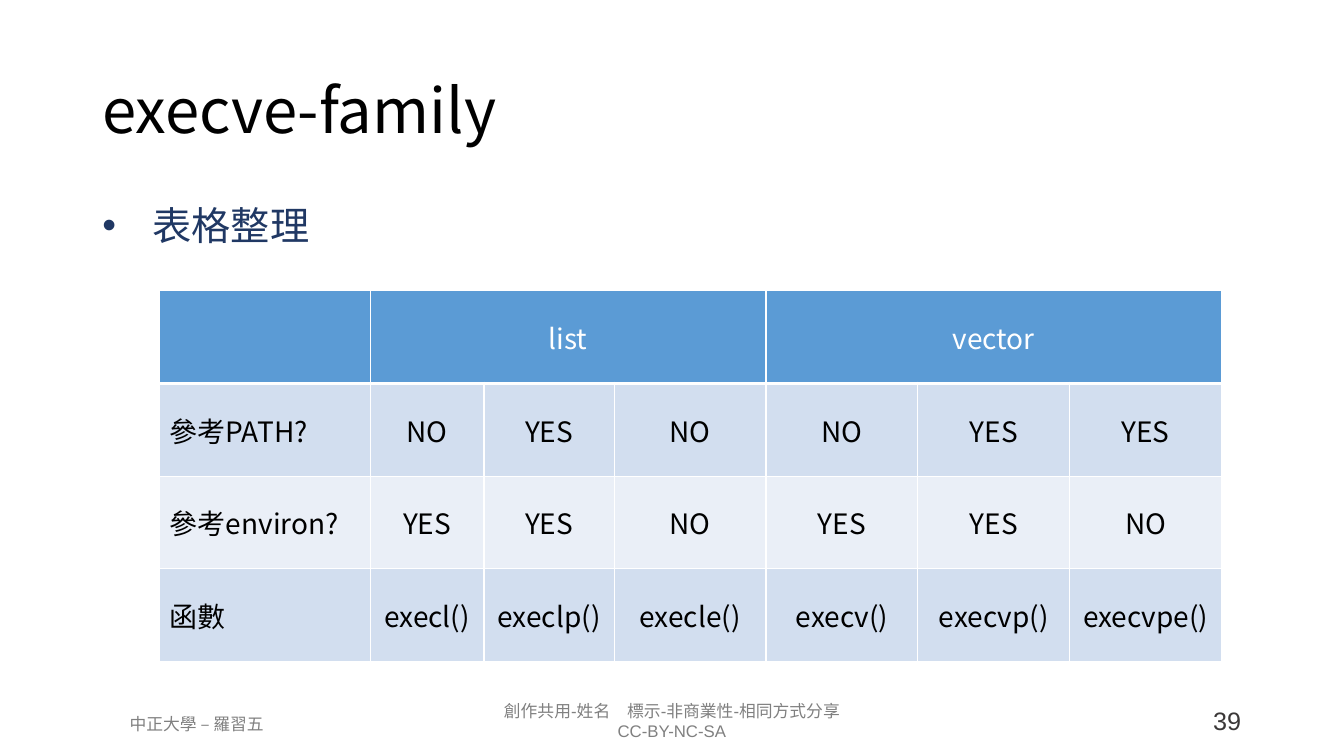
"""Build the execve-family slide with its comparison table."""
from lxml import etree
from pptx import Presentation
from pptx.dml.color import RGBColor
from pptx.enum.text import MSO_ANCHOR, PP_ALIGN
from pptx.oxml.ns import qn
from pptx.util import Pt

LEFT, MID, RIGHT = PP_ALIGN.LEFT, PP_ALIGN.CENTER, PP_ALIGN.RIGHT
TOP, CENTER = MSO_ANCHOR.TOP, MSO_ANCHOR.MIDDLE
SANS, ARIAL = "Noto Sans CJK SC", "Arial"
HEX = {"black": "000000", "white": "FFFFFF", "navy": "203864", "gray": "808080",
       "dark": "3B3838", "head": "5B9BD5", "odd": "D2DEEF", "even": "EAEFF7"}


def write(frame, text, size=20, font=SANS, color="black", align=LEFT,
          anchor=CENTER, space=1.0, bullet=False):
    """Fill a text frame, one paragraph per line."""
    frame.word_wrap = True
    frame.vertical_anchor = anchor
    for i, line in enumerate(text.split("\n")):
        para = frame.paragraphs[0] if i == 0 else frame.add_paragraph()
        if bullet:
            props = para._p.get_or_add_pPr()
            props.set("marL", str(Pt(36)))
            props.set("indent", str(-Pt(36)))
            etree.SubElement(props, qn("a:buFont"), typeface=ARIAL)
            etree.SubElement(props, qn("a:buChar"), char="•")
        para.alignment = align
        para.line_spacing = space
        run = para.add_run()
        run.text = line
        run.font.size = Pt(size)
        run.font.name = font
        run.font.bold = False
        run.font.color.rgb = RGBColor.from_string(HEX[color])
        etree.SubElement(run._r.get_or_add_rPr(), qn("a:ea"), typeface=SANS)


def edge(cell, sides):
    """Draw white borders, given a width for each side."""
    props = cell._tc.get_or_add_tcPr()
    for i, (side, width) in enumerate(sides.items()):
        line = etree.Element(qn("a:ln" + side), w=str(Pt(width)))
        fill = etree.SubElement(line, qn("a:solidFill"))
        etree.SubElement(fill, qn("a:srgbClr"), val=HEX["white"])
        props.insert(i, line)


deck = Presentation()
deck.slide_width, deck.slide_height = Pt(960), Pt(540)
slide = deck.slides.add_slide(deck.slide_layouts[6])

texts = [
    ("創作共用-姓名　標示-非商業性-相同方式分享\nCC-BY-NC-SA", (303, 497, 354, 36),
     dict(size=12, font=ARIAL, color="gray", align=MID, anchor=TOP)),
    ("中正大學 – 羅習五", (50, 506, 181, 22),
     dict(size=12, font=ARIAL, color="gray", align=MID, anchor=TOP)),
    ("39", (717, 500.5, 176.5, 29),
     dict(size=18, font=ARIAL, color="dark", align=RIGHT, anchor=TOP)),
    ("execve-family", (66, 28.8, 828, 104.4), dict(size=44, space=0.9)),
    ("表格整理", (66, 144, 828, 342.6),
     dict(size=28, color="navy", anchor=TOP, space=0.9, bullet=True)),
]
for text, area, style in texts:
    box = slide.shapes.add_textbox(*map(Pt, area))
    write(box.text_frame, text, **style)

rows = [
    ["", "list", "", "", "vector", "", ""],
    ["參考PATH?", "NO", "YES", "NO", "NO", "YES", "YES"],
    ["參考environ?", "YES", "YES", "NO", "YES", "YES", "NO"],
    ["函數", "execl()", "execlp()", "execle()", "execv()", "execvp()", "execvpe()"],
]
wide = [150.4, 81.4, 92.9] + [108.5] * 4
high = 66.2
table = slide.shapes.add_table(len(rows), len(wide), Pt(114), Pt(207.7),
                               Pt(sum(wide)), Pt(high * len(rows))).table
for col, width in zip(table.columns, wide):
    col.width = Pt(width)
for r, row in enumerate(rows):
    table.rows[r].height = Pt(high)
    shade = "head" if r == 0 else "odd" if r % 2 else "even"
    for c, text in enumerate(row):
        cell = table.cell(r, c)
        cell.fill.solid()
        cell.fill.fore_color.rgb = RGBColor.from_string(HEX[shade])
        edge(cell, {"L": 1, "R": 1, "T": 3 if r == 1 else 1, "B": 1 if r else 3})
        cell.vertical_anchor = CENTER
        if text:
            write(cell.text_frame, text, color="black" if r else "white",
                  align=MID if c else LEFT)
for c in (1, 4):
    table.cell(0, c).merge(table.cell(0, c + 2))

deck.save("out.pptx")
